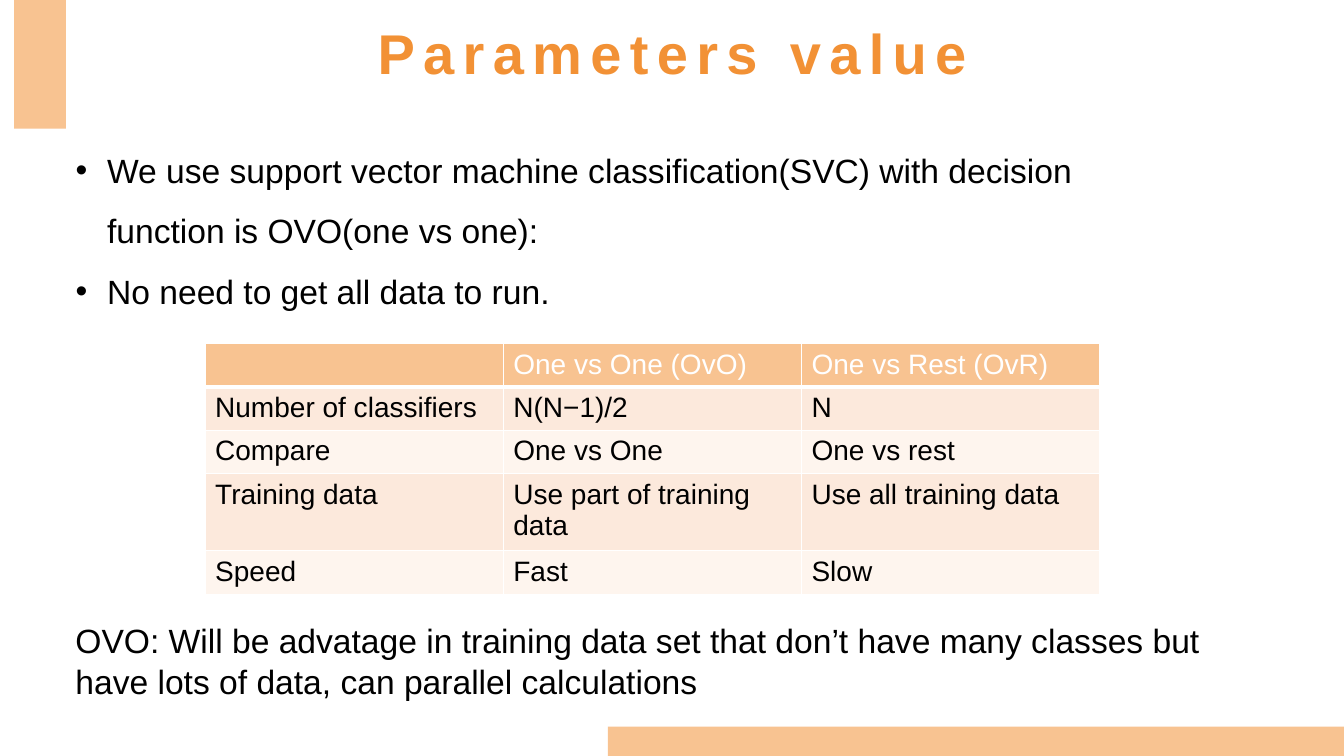
import pptx
import pptx.dml.color
import pptx.enum.shapes
import pptx.enum.text
import pptx.oxml
import pptx.oxml.ns
import pptx.util

Pt = pptx.util.Pt
COLORS = {"accent": "F8C391", "title": "F29135", "text": "000000",
          "white": "FFFFFF", "odd": "FCE9DC", "even": "FEF5EE"}
NS = pptx.oxml.ns.nsdecls("a")
POINTS = [
    "We use support vector machine classification(SVC) with decision function is OVO(one vs one):",
    "No need to get all data to run.",
]
COMPARISON = [
    ["", "One vs One (OvO)", "One vs Rest (OvR)"],
    ["Number of classifiers", "N(N−1)/2", "N"],
    ["Compare", "One vs One", "One vs rest"],
    ["Training data", "Use part of training data", "Use all training data"],
    ["Speed", "Fast", "Slow"],
]
ROW_HEIGHTS = [31, 31, 31, 55, 31]
CONCLUSION = ("OVO: Will be advatage in training data set that don’t have many classes "
              "but have lots of data, can parallel calculations")


def color(name):
    """Return the named colour."""
    return pptx.dml.color.RGBColor.from_string(COLORS[name])


def place(item, left, top, width, height):
    """Set position and size in points."""
    item.left, item.top, item.width, item.height = map(Pt, (left, top, width, height))


def add_run(paragraph, text, size, tint="text", bold=False):
    """Add one formatted run and return it."""
    run = paragraph.add_run()
    run.text = text
    run.font.name = "Arial"
    run.font.size = Pt(size)
    run.font.bold = bold
    run.font.color.rgb = color(tint)
    return run


def prepare_frame(frame):
    """Make a text frame wrap, start at the top and keep its size."""
    frame.word_wrap = True
    frame.auto_size = pptx.enum.text.MSO_AUTO_SIZE.NONE
    frame.vertical_anchor = pptx.enum.text.MSO_ANCHOR.TOP


def add_bar(slide, *box):
    """Add a plain accent rectangle."""
    bar = slide.shapes.add_shape(pptx.enum.shapes.MSO_SHAPE.RECTANGLE, *map(Pt, box))
    bar.shadow.inherit = False
    bar.fill.solid()
    bar.fill.fore_color.rgb = color("accent")
    bar.line.fill.background()


def fill_title(title, text):
    """Write the widely spaced, centred title."""
    place(title, 24.5, 15, 911.5, 57)
    prepare_frame(title.text_frame)
    heading = title.text_frame.paragraphs[0]
    heading.alignment = pptx.enum.text.PP_ALIGN.CENTER
    heading.line_spacing = 0.9
    run = add_run(heading, text, 40, "title", True)
    run.font._element.set("spc", "600")


def fill_points(body, points):
    """Write the bulleted list."""
    place(body, 46.8, 89, 815, 138.5)
    prepare_frame(body.text_frame)
    for index, point in enumerate(points):
        frame = body.text_frame
        paragraph = frame.add_paragraph() if index else frame.paragraphs[0]
        paragraph.line_spacing = 1.5
        paragraph.space_before = Pt(0)
        properties = paragraph._p.get_or_add_pPr()
        properties.set("marL", str(Pt(22.5)))
        properties.set("indent", str(Pt(-22.5)))
        for bullet in ('buFont {} typeface="Arial"', 'buChar {} char="•"'):
            properties.append(pptx.oxml.parse_xml(f"<a:{bullet.format(NS)}/>"))
        add_run(paragraph, point, 24)


def add_borders(cell, bottom):
    """Give a cell white borders, with its own bottom width."""
    widths = {"lnL": 1, "lnR": 1, "lnT": 1, "lnB": bottom}
    for index, (side, width) in enumerate(widths.items()):
        border = pptx.oxml.parse_xml(
            f'<a:{side} {NS} w="{Pt(width)}"><a:solidFill>'
            f'<a:srgbClr val="{COLORS["white"]}"/></a:solidFill></a:{side}>')
        cell._tc.get_or_add_tcPr().insert(index, border)


def add_comparison(slide, rows):
    """Add the table with a header and alternating rows."""
    table = slide.shapes.add_table(len(rows), len(rows[0]), Pt(146.5), Pt(245.5),
                                   Pt(639), Pt(sum(ROW_HEIGHTS))).table
    for row_index, texts in enumerate(rows):
        table.rows[row_index].height = Pt(ROW_HEIGHTS[row_index])
        header = row_index == 0
        fill = "accent" if header else ("odd" if row_index % 2 else "even")
        for column_index, text in enumerate(texts):
            cell = table.cell(row_index, column_index)
            cell.fill.solid()
            cell.fill.fore_color.rgb = color(fill)
            add_borders(cell, 3 if header else 1)
            if text:
                add_run(cell.text_frame.paragraphs[0], text, 20,
                        "white" if header else "text")


def add_note(slide, text, *box):
    """Add a plain text box."""
    frame = slide.shapes.add_textbox(*map(Pt, box)).text_frame
    prepare_frame(frame)
    add_run(frame.paragraphs[0], text, 24)


def main():
    """Build and save the slide."""
    deck = pptx.Presentation()
    deck.slide_width, deck.slide_height = Pt(960), Pt(540)
    slide = deck.slides.add_slide(deck.slide_layouts[1])
    add_bar(slide, 10, 0, 37, 92)
    add_bar(slide, 434.3, 519, 525.7, 21)
    fill_title(slide.shapes.title, "Parameters value")
    fill_points(slide.placeholders[1], POINTS)
    add_comparison(slide, COMPARISON)
    add_note(slide, CONCLUSION, 46.8, 439.5, 862, 65.5)
    deck.save("out.pptx")


if __name__ == "__main__":
    main()
